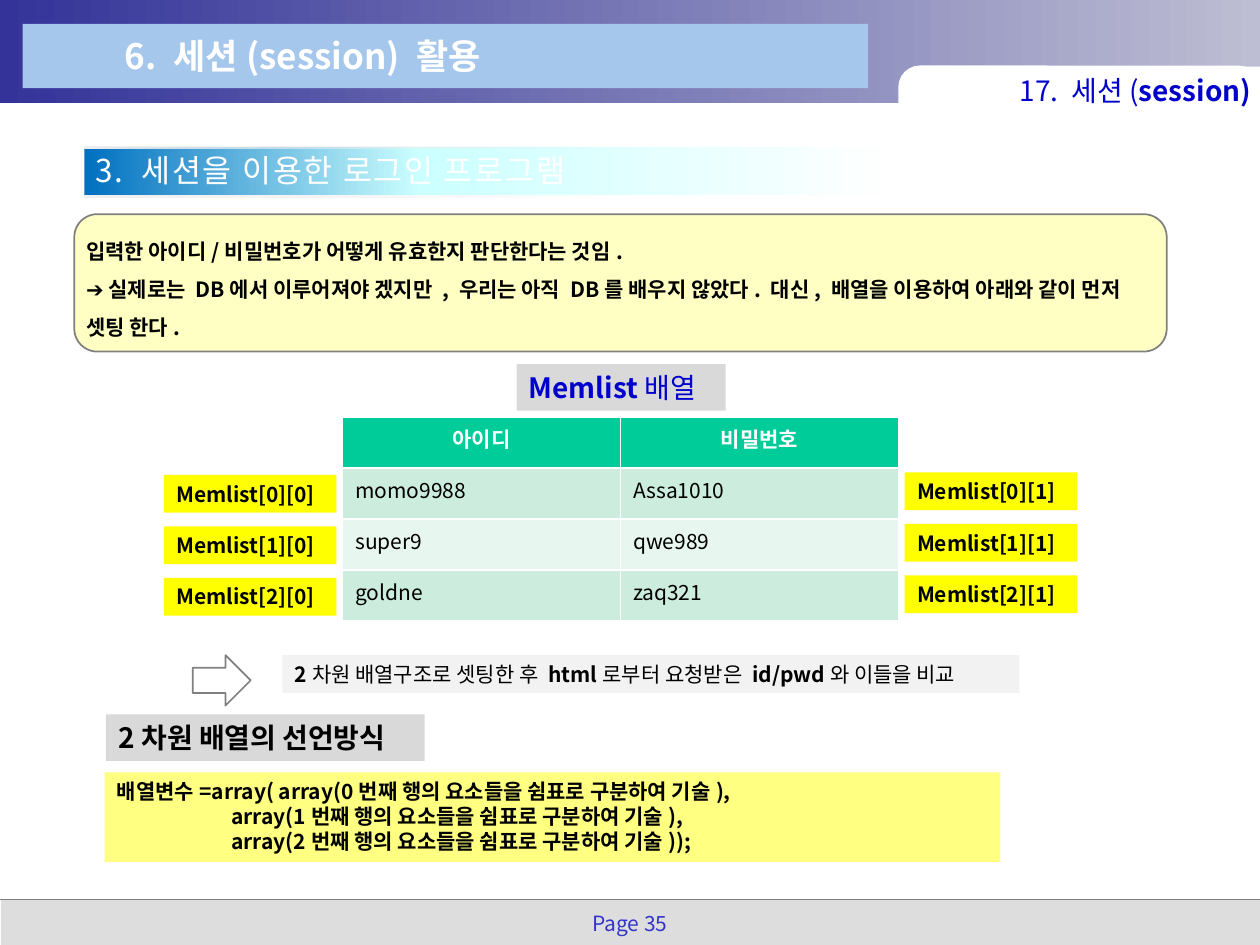
from lxml.etree import SubElement as Sub
from pptx import Presentation
from pptx.dml.color import RGBColor
from pptx.enum.shapes import MSO_CONNECTOR as Line, MSO_SHAPE as Kind
from pptx.enum.text import MSO_ANCHOR as Anchor, MSO_AUTO_SIZE as Auto, PP_ALIGN as Align
from pptx.oxml.ns import qn
from pptx.util import Inches, Pt

WHITE = RGBColor(0xFF, 0xFF, 0xFF)
BLACK = RGBColor(0, 0, 0)
GREY = RGBColor(0x80, 0x80, 0x80)
FOOT = RGBColor(0xDD, 0xDD, 0xDD)
SILVER = RGBColor(0xD9, 0xD9, 0xD9)
PALE = RGBColor(0xF2, 0xF2, 0xF2)
YELLOW = RGBColor(0xFF, 0xFF, 0)
SKY = RGBColor(0xA6, 0xC7, 0xEC)
BLUE = RGBColor(0, 0, 0xCC)
INDIGO = RGBColor(0x33, 0x33, 0xCC)
NAVY = RGBColor(0, 0, 0x80)
GREEN = RGBColor(0, 0xCC, 0x99)
MINT = RGBColor(0xCC, 0xEC, 0xDE)
LIGHT = RGBColor(0xE7, 0xF6, 0xEF)
HEAD = [(0, RGBColor(0x33, 0x33, 0x99), 100), (100, RGBColor(0xBD, 0xBD, 0xD3), 100)]
BAND = [(0, RGBColor(0, 0x70, 0xC0), 100), (40, RGBColor(0xCC, 0xFF, 0xFF), 100), (97, WHITE, 100)]
EDGE = [(0, RGBColor(0xF0, 0xF0, 0xF0), 100), (100, RGBColor(0xEA, 0xEA, 0xEA), 0)]


class Deck:
    """Draws styled elements on one slide over a grid of 100 columns by 75 rows."""

    def __init__(self, font):
        self.font = font
        self.prs = Presentation()
        self.prs.slide_width, self.prs.slide_height = Inches(10), Inches(7.5)
        self.unit = self.prs.slide_width / 100
        self.slide = self.prs.slides.add_slide(self.prs.slide_layouts[5])
        self.shapes = self.slide.shapes

    def grid(self, *cells):
        return [round(cell * self.unit) for cell in cells]

    def style(self, run, size, color, bold):
        run.font.size, run.font.bold, run.font.name = Pt(size), bold, self.font
        run.font.color.rgb = color
        Sub(run.font._element, qn("a:ea"), typeface=self.font)

    def fit(self, shape, lines, size=12, color=BLACK, bold=True, align=Align.LEFT,
            anchor=Anchor.TOP, space=1.0, inset=None):
        frame = shape.text_frame
        frame.word_wrap, frame.auto_size = True, Auto.NONE
        frame.vertical_anchor = anchor
        if inset is not None:
            pad = self.grid(inset)[0]
            frame.margin_left = frame.margin_right = pad
            frame.margin_top = frame.margin_bottom = pad
        for i, line in enumerate(lines):
            para = frame.add_paragraph() if i else frame.paragraphs[0]
            para.alignment, para.line_spacing = align, space
            for text, heavy in [(line, bold)] if isinstance(line, str) else line:
                run = para.add_run()
                run.text = text
                self.style(run, size, color, heavy)
        return shape

    def fade(self, fill, stops):
        fill.gradient()
        fill.gradient_angle = 0
        group = fill._xPr.find(qn("a:gradFill")).find(qn("a:gsLst"))
        for old in list(group):
            group.remove(old)
        for pos, color, alpha in stops:
            stop = Sub(group, qn("a:gs"), pos=str(pos * 1000))
            tint = Sub(stop, qn("a:srgbClr"), val=str(color))
            Sub(tint, qn("a:alpha"), val=str(alpha * 1000))

    def box(self, cells, fill=None, kind=Kind.RECTANGLE, line=None, alpha=100):
        shape = self.shapes.add_shape(kind, *self.grid(*cells))
        shape.shadow.inherit = False
        if fill is None:
            shape.fill.background()
        elif isinstance(fill, list):
            self.fade(shape.fill, fill)
        else:
            shape.fill.solid()
            shape.fill.fore_color.rgb = fill
            if alpha < 100:
                tint = shape.element.spPr.find(qn("a:solidFill"))[0]
                Sub(tint, qn("a:alpha"), val=str(alpha * 1000))
        if line is None:
            shape.line.fill.background()
        else:
            shape.line.color.rgb, shape.line.width = line, Pt(1)
        return shape

    def label(self, cells, fill, lines, alpha=100, **look):
        return self.fit(self.box(cells, fill, alpha=alpha), lines, **look)

    def text(self, cells, lines, **look):
        return self.fit(self.shapes.add_textbox(*self.grid(*cells)), lines, **look)

    def title(self, cells, line, **look):
        shape = self.shapes.title
        shape.element.getparent().append(shape.element)
        shape.left, shape.top, shape.width, shape.height = self.grid(*cells)
        self.fit(shape, [line], **look)

    def rule(self, row):
        line = self.shapes.add_connector(Line.STRAIGHT, *self.grid(0, row, 100, row))
        line.line.color.rgb, line.line.width = GREY, Pt(1)
        Sub(line.element.spPr, qn("a:effectLst"))

    def table(self, cells, rows):
        grid = self.shapes.add_table(len(rows), len(rows[0]), *self.grid(*cells)).table
        for r, row in enumerate(rows):
            for c, word in enumerate(row):
                cell = grid.cell(r, c)
                cell.fill.solid()
                cell.fill.fore_color.rgb = (MINT if r % 2 else LIGHT) if r else GREEN
                para = cell.text_frame.paragraphs[0]
                para.text = word
                para.alignment = Align.LEFT if r else Align.CENTER
                self.style(para.runs[0], 12, BLACK if r else WHITE, not r)

    def banner(self, cells, line):
        col, row, wide, high = cells
        self.box(cells, BAND)
        for top in (row - 0.1, row + high):
            self.box((col, top, 42.1, 0.2), EDGE)
        shape = self.text((col - 0.1, row - 0.2, wide + 0.3, high + 0.2), [line],
                          size=18, color=WHITE, bold=False)
        props = shape.text_frame.paragraphs[0].runs[0].font._element
        props.set("spc", "100")
        glow = props.makeelement(qn("a:effectLst"), {})
        props.find(qn("a:solidFill")).addnext(glow)
        cast = Sub(glow, qn("a:outerShdw"), dist="17961", dir="2700000")
        Sub(cast, qn("a:srgbClr"), val=str(NAVY))


def main():
    deck = Deck("Noto Sans CJK KR")
    deck.box((0.1, 71.4, 99.9, 3.6), FOOT)
    deck.box((0, 0, 100, 8.2), HEAD)
    deck.rule(71.4)
    tab = deck.box((71.3, 5.2, 28.7, 5.9), WHITE, Kind.ROUNDED_RECTANGLE)
    tab.adjustments[0] = 0.29
    deck.box((91, 5.3, 9, 2.4), WHITE)
    deck.box((1.8, 1.9, 67.1, 5.1), SKY)
    deck.text((45, 72, 10, 2.8), ["Page 35"], color=INDIGO, bold=False,
              align=Align.CENTER, space=0.9)

    note = deck.box((5.9, 17, 86.7, 10.9), YELLOW, Kind.ROUNDED_RECTANGLE, GREY, 23)
    deck.fit(note, [
        "입력한 아이디/비밀번호가 어떻게 유효한지 판단한다는 것임.",
        "➔ 실제로는 DB에서 이루어져야 겠지만 , 우리는 아직 DB를 배우지 않았다. "
        "대신, 배열을 이용하여 아래와 같이 먼저 셋팅 한다.",
    ], anchor=Anchor.MIDDLE, space=1.5, inset=0.4)

    deck.table((27.2, 33.1, 44.1, 16.2), [
        ("아이디", "비밀번호"),
        ("momo9988", "Assa1010"),
        ("super9", "qwe989"),
        ("goldne", "zaq321"),
    ])
    for c, (col, top) in enumerate([(13, 37.7), (71.8, 37.5)]):
        for r in range(3):
            deck.label((col, top + 4.08 * r, 13.7, 3), YELLOW, [f"Memlist[{r}][{c}]"])

    deck.label((41, 28.9, 16.6, 3.7), SILVER, [[("Memlist", True), ("배열", False)]],
               size=16, color=BLUE)
    deck.label((22.4, 52, 58.5, 3), PALE, [[
        ("2", True), ("차원 배열구조로 셋팅한 후 ", False), ("html", True),
        ("로부터 요청받은 ", False), ("id/pwd", True), ("와 이들을 비교", False)]])
    deck.box((15.3, 52, 4.6, 4), None, Kind.RIGHT_ARROW, GREY)

    pad = " " * 24
    deck.label((8.3, 61.3, 71.1, 7.1), YELLOW, [
        "배열변수=array( array(0번째 행의 요소들을 쉼표로 구분하여 기술),",
        pad + "array(1번째 행의 요소들을 쉼표로 구분하여 기술),",
        pad + "array(2번째 행의 요소들을 쉼표로 구분하여 기술));",
    ], alpha=49)
    deck.label((8.4, 56.7, 25.3, 3.7), SILVER, ["2차원 배열의 선언방식"], size=16)

    deck.text((72.7, 5.4, 27, 3.5), [[("17. 세션(", False), ("session)", True)]], size=16,
              color=BLUE, align=Align.RIGHT, anchor=Anchor.MIDDLE, inset=0.4)
    deck.title((8.9, 2.2, 49.7, 4.4), "6. 세션(session) 활용", size=20, color=WHITE)
    deck.banner((6.7, 11.7, 66.7, 3.8), "3. 세션을 이용한 로그인 프로그램")
    deck.prs.save("out.pptx")


if __name__ == "__main__":
    main()
